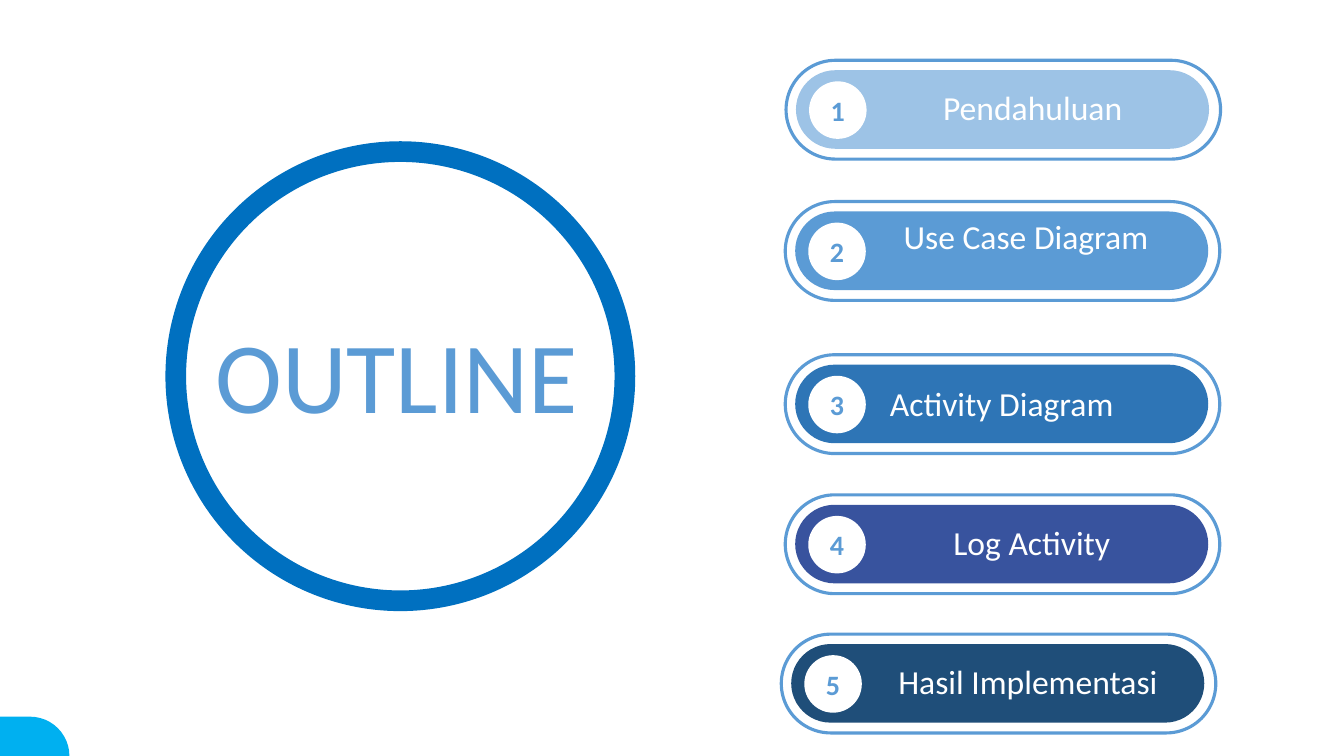
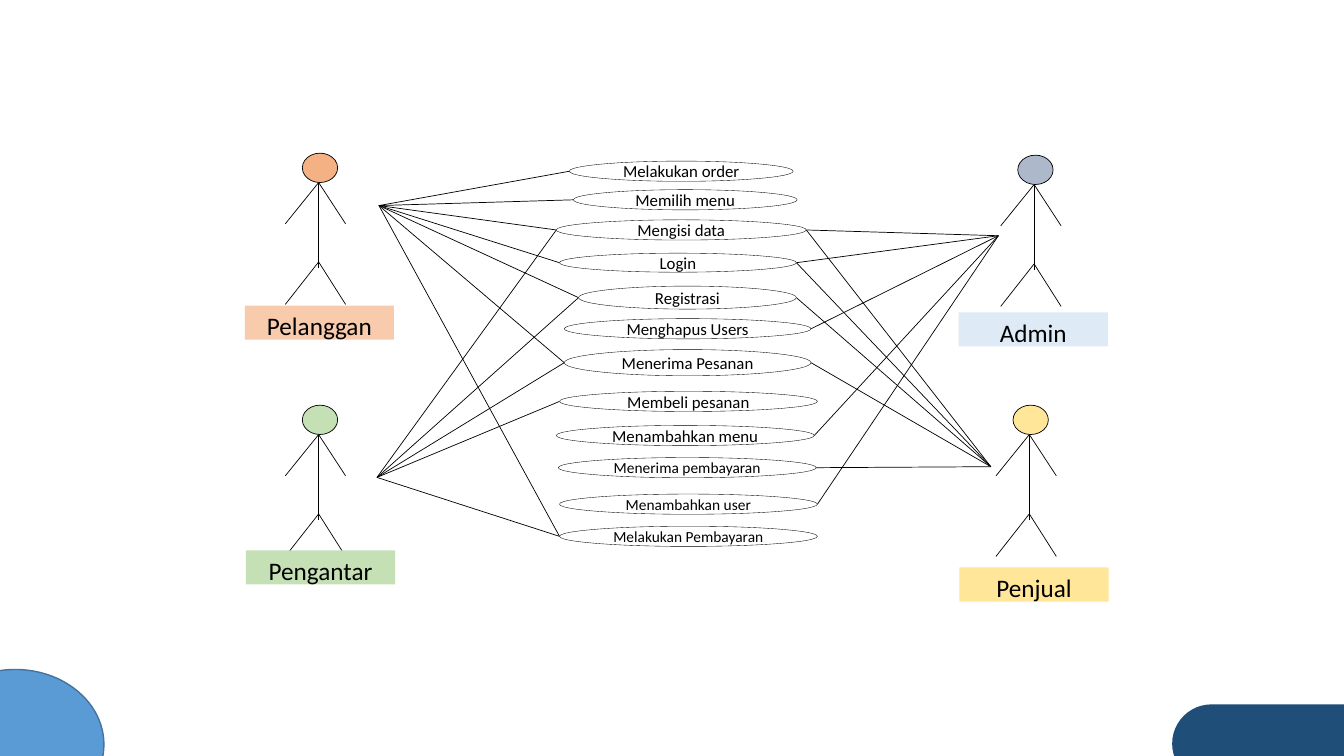
"""Build an outline slide and a use case diagram slide."""
from dataclasses import dataclass

from lxml import etree
from pptx import Presentation
from pptx.dml.color import RGBColor
from pptx.enum import shapes, text
from pptx.oxml import ns
from pptx.util import Cm, Pt

SHAPE = shapes.MSO_SHAPE
ANCHOR = text.MSO_ANCHOR


@dataclass(frozen=True)
class Theme:
    """Colours, font and type sizes of the deck."""
    font: str = "Calibri"
    white: str = "FFFFFF"
    black: str = "000000"
    accent: str = "5B9BD5"
    accent_edge: str = "43739E"
    ring: str = "0070C0"
    cyan: str = "00B0F0"
    navy: str = "1F4E79"
    steps: tuple = ("9DC3E6", "5B9BD5", "2E75B6", "38539E", "1F4E79")
    orange: str = "F4B183"
    peach: str = "F8CBAD"
    green: str = "C5E0B4"
    slate: str = "ADB9CA"
    ice: str = "DEEBF7"
    yellow: str = "FFE699"
    title: float = 72
    label: float = 24
    number: float = 20
    role: float = 18
    case: float = 12
    small_case: float = 11
    outline: float = 2.25
    edge: float = 1
    stroke: float = 0.5
    hairline: float = 0.25


THEME = Theme()

AGENDA = [
    ("Pendahuluan", 19.81, 1.52, 2.39, 0.66),
    ("Use Case Diagram", 19.79, 5.08, 2.24, 0.36),
    ("Activity Diagram", 19.79, 8.94, 1.63, 0.7),
    ("Log Activity", 19.79, 12.47, 2.39, 0.66),
    ("Hasil Implementasi", 19.69, 15.98, 2.39, 0.66),
]

USE_CASES = {
    "Melakukan order": (8.35, 0.56, 5.64, 0.51, THEME.case),
    "Memilih menu": (8.45, 1.28, 5.64, 0.51, THEME.case),
    "Mengisi data": (8.02, 2.04, 6.3, 0.51, THEME.case),
    "Login": (8.1, 2.88, 5.97, 0.48, THEME.case),
    "Registrasi": (8.58, 3.71, 5.49, 0.58, THEME.case),
    "Menghapus Users": (8.22, 4.53, 6.22, 0.51, THEME.case),
    "Menerima Pesanan": (8.22, 5.31, 6.22, 0.66, THEME.case),
    "Membeli pesanan": (8.1, 6.36, 6.5, 0.51, THEME.case),
    "Menambahkan menu": (8.02, 7.22, 6.5, 0.51, THEME.case),
    "Menerima pembayaran": (8.07, 8.03, 6.5, 0.51, THEME.small_case),
    "Menambahkan user": (8.1, 8.95, 6.5, 0.51, THEME.small_case),
    "Melakukan Pembayaran": (8.1, 9.76, 6.5, 0.51, THEME.small_case),
}


@dataclass(frozen=True)
class Actor:
    """A role with its figure, name plate, link origin and use cases."""
    name: str
    head: str
    plate: str
    figure_at: tuple
    plate_at: tuple
    hub: tuple
    cases: tuple


ACTORS = [
    Actor("Pelanggan", THEME.orange, THEME.peach,
          (1.19, 0.36), (0.17, 4.2), (3.55, 1.68),
          ("Melakukan order", "Memilih menu", "Mengisi data", "Login",
           "Registrasi", "Menerima Pesanan", "Melakukan Pembayaran")),
    Actor("Pengantar", THEME.green, THEME.green,
          (1.19, 6.71), (0.2, 10.37), (3.5, 8.53),
          ("Mengisi data", "Registrasi", "Menerima Pesanan",
           "Membeli pesanan", "Melakukan Pembayaran")),
    Actor("Admin", THEME.slate, THEME.ice,
          (19.22, 0.41), (18.16, 4.37), (19.16, 2.44),
          ("Mengisi data", "Login", "Menghapus Users",
           "Menambahkan menu", "Menambahkan user")),
    Actor("Penjual", THEME.yellow, THEME.yellow,
          (19.1, 6.71), (18.18, 10.8), (18.97, 8.26),
          ("Mengisi data", "Login", "Registrasi", "Menerima Pesanan",
           "Menerima pembayaran")),
]


def write(frame, words, *, size, color, bold=False, anchor=ANCHOR.MIDDLE,
          spacing=None, margin=None):
    """Put one centred, formatted paragraph into a text frame."""
    frame.word_wrap = True
    frame.vertical_anchor = anchor
    if margin is not None:
        frame.margin_left = frame.margin_right = Cm(margin)
        frame.margin_top = frame.margin_bottom = Cm(margin)
    paragraph = frame.paragraphs[0]
    paragraph.alignment = text.PP_ALIGN.CENTER
    if spacing:
        paragraph.line_spacing = spacing
    run = paragraph.add_run()
    run.text = words
    run.font.name = THEME.font
    run.font.size = Pt(size)
    run.font.bold = bold
    run.font.color.rgb = RGBColor.from_string(color)


def draw(parent, kind, left, top, width, height, *, fill=None, line=None,
         weight=THEME.stroke, adjust=None):
    """Add a flat preset shape, measured in centimetres."""
    shape = parent.shapes.add_shape(kind, Cm(left), Cm(top), Cm(width), Cm(height))
    shape.shadow.inherit = False
    if adjust is not None:
        shape.adjustments[0] = adjust
    if fill:
        shape.fill.solid()
        shape.fill.fore_color.rgb = RGBColor.from_string(fill)
    else:
        shape.fill.background()
    if line:
        shape.line.color.rgb = RGBColor.from_string(line)
        shape.line.width = Pt(weight)
    else:
        shape.line.fill.background()
    return shape


def pill(parent, *box, **style):
    """Add a fully rounded rectangle."""
    return draw(parent, SHAPE.ROUNDED_RECTANGLE, *box, adjust=0.5, **style)


def connect(parent, start, end):
    """Add a thin straight line between two points in centimetres."""
    link = parent.shapes.add_connector(
        shapes.MSO_CONNECTOR.STRAIGHT, *(Cm(value) for value in (*start, *end)))
    link.line.color.rgb = RGBColor.from_string(THEME.black)
    link.line.width = Pt(THEME.stroke)
    etree.SubElement(link._element.spPr, ns.qn("a:effectLst"))


def heading(slide, left, top, size):
    """Place the title inside a ring of the given diameter."""
    title = slide.shapes.title
    title.left, title.top = Cm(left + 0.1), Cm(top + 3.07)
    title.width, title.height = Cm(size - 0.38), Cm(5.94)
    write(title.text_frame, "OUTLINE", size=THEME.title, color=THEME.accent,
          spacing=0.9)
    draw(slide, SHAPE.DONUT, left, top, size, size, fill=THEME.ring, adjust=0.044)


def agenda_item(slide, number, words, left, top, label_dx, label_dy):
    """Place a numbered, outlined pill with its label."""
    pill(slide, left + 0.25, top + 0.25, 10.41, 1.98, fill=THEME.steps[number - 1])
    label = slide.shapes.add_textbox(
        Cm(left + label_dx), Cm(top + label_dy), Cm(7.65), Cm(1.45))
    write(label.text_frame, words, size=THEME.label, color=THEME.white,
          anchor=ANCHOR.TOP, spacing=0.9)
    badge = draw(slide, SHAPE.OVAL, left + 0.58, top + 0.53, 1.45, 1.45,
                 fill=THEME.white)
    write(badge.text_frame, str(number), size=THEME.number, color=THEME.accent,
          bold=True, margin=0)
    pill(slide, left, top, 10.95, 2.49, line=THEME.accent, weight=THEME.outline)


def stick_figure(slide, left, top, color):
    """Draw a grouped stick figure from its top left corner."""
    figure = slide.shapes.add_group_shape()
    center, right = left + 0.84, left + 1.52
    neck, hip = (center, top + 0.74), (center, top + 2.74)
    connect(figure, neck, (center, top + 2.9))
    for joint, tip in ((neck, top + 1.78), (hip, top + 3.81)):
        for side in (left, right):
            connect(figure, joint, (side, tip))
    draw(figure, SHAPE.OVAL, left + 0.43, top, 0.89, 0.74, fill=color,
         line=THEME.black)


def name_plate(slide, left, top, words, color):
    """Place the coloured name of a role."""
    plate = draw(slide, SHAPE.RECTANGLE, left, top, 3.76, 0.86, fill=color)
    write(plate.text_frame, words, size=THEME.role, color=THEME.black,
          anchor=ANCHOR.TOP)


def use_case(slide, left, top, words, width, height, size):
    """Place one use case ellipse."""
    case = draw(slide, SHAPE.OVAL, left, top, width, height, fill=THEME.white,
                line=THEME.black, weight=THEME.hairline)
    write(case.text_frame, words, size=size, color=THEME.black, margin=0)


def use_case_diagram(slide, left, top):
    """Draw actors, use cases and the links between them."""
    def place(point):
        """Shift a point into the diagram."""
        return left + point[0], top + point[1]

    for actor in ACTORS:
        stick_figure(slide, *place(actor.figure_at), actor.head)
        name_plate(slide, *place(actor.plate_at), actor.name, actor.plate)
        for name in actor.cases:
            x, y, width, height, _ = USE_CASES[name]
            side = x if actor.hub[0] < x else x + width
            connect(slide, place(actor.hub), place((side, y + height / 2)))
    for name, (x, y, width, height, size) in USE_CASES.items():
        use_case(slide, *place((x, y)), name, width, height, size)


def outline_slide(deck):
    """Add the outline slide."""
    slide = deck.slides.add_slide(deck.slide_layouts.get_by_name("Title Only"))
    heading(slide, 4.17, 3.56, 11.84)
    pill(slide, -1.6, 18.06, 3.35, 1.98, fill=THEME.cyan)
    for number, item in enumerate(AGENDA, 1):
        agenda_item(slide, number, *item)


def diagram_slide(deck):
    """Add the use case diagram slide."""
    slide = deck.slides.add_slide(deck.slide_layouts.get_by_name("Blank"))
    pill(slide, 29.54, 17.75, 7.21, 1.98, fill=THEME.navy)
    draw(slide, SHAPE.OVAL, -1.85, 16.87, 4.47, 3.78, fill=THEME.accent,
         line=THEME.accent_edge, weight=THEME.edge)
    use_case_diagram(slide, 6, 3.5)


def main():
    """Build and save the deck."""
    deck = Presentation()
    deck.slide_width, deck.slide_height = Cm(33.87), Cm(19.05)
    outline_slide(deck)
    diagram_slide(deck)
    deck.save("out.pptx")


if __name__ == "__main__":
    main()
